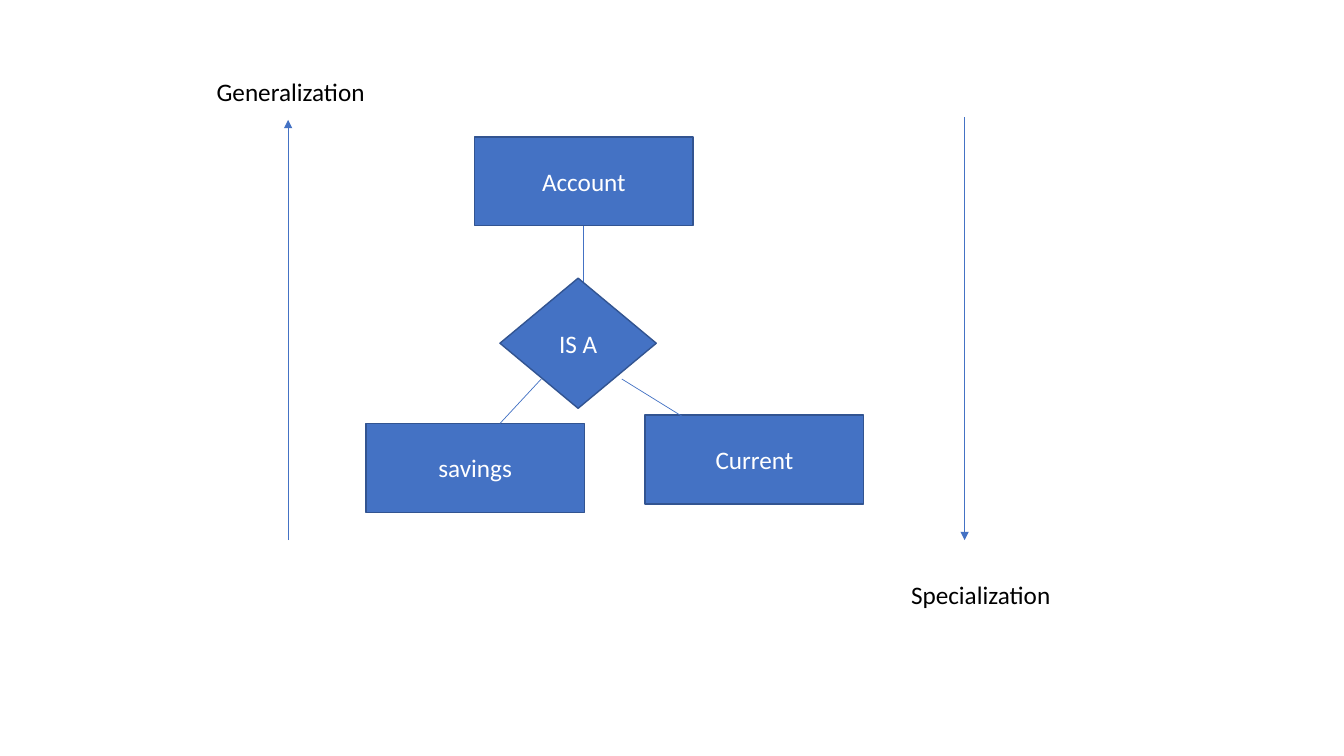
"""Build a slide showing generalization and specialization of an account entity."""
from lxml.etree import SubElement
from pptx import Presentation
from pptx.dml.color import RGBColor
from pptx.enum.shapes import MSO_CONNECTOR, MSO_SHAPE
from pptx.enum.text import MSO_ANCHOR, PP_ALIGN
from pptx.oxml.ns import qn
from pptx.util import Cm, Pt

COLORS = {"fill": "4472C4", "outline": "325491", "light": "FFFFFF", "dark": "000000"}
FONT = {"name": "Calibri", "size": Pt(18)}
ENTITY_SIZE = (5.51, 2.24)
LABEL_SIZE = (5.23, 1.02)
ENTITIES = [("Account", 11.96, 3.45), ("Current", 16.26, 10.46), ("savings", 9.22, 10.67)]
RELATION = ("IS A", 12.6, 7.01)
RELATION_SIZE = (3.94, 3.28)
LINKS = [
    (14.71, 5.69, 14.71, 7.21),
    (13.64, 9.55, 12.6, 10.67),
    (15.67, 9.55, 17.48, 10.67),
]
DIRECTIONS = [(7.26, 13.61, 7.26, 3.02), (24.31, 2.95, 24.31, 13.61)]
LABELS = [("Generalization", 5.21, 1.8), ("Specialization", 22.71, 14.48)]


def color(key):
    return RGBColor.from_string(COLORS[key])


def write(frame, wording, ink):
    paragraph = frame.paragraphs[0]
    run = paragraph.add_run()
    run.text = wording
    for attribute, value in FONT.items():
        setattr(run.font, attribute, value)
    run.font.color.rgb = color(ink)
    return paragraph


def add_node(slide, kind, node, size):
    wording, left, top = node
    shape = slide.shapes.add_shape(kind, *map(Cm, (left, top, *size)))
    shape.shadow.inherit = False
    shape.fill.solid()
    shape.fill.fore_color.rgb = color("fill")
    shape.line.color.rgb = color("outline")
    shape.line.width = Pt(1)
    shape.text_frame.vertical_anchor = MSO_ANCHOR.MIDDLE
    write(shape.text_frame, wording, "light").alignment = PP_ALIGN.CENTER


def add_line(slide, ends, arrow=False):
    line = slide.shapes.add_connector(MSO_CONNECTOR.STRAIGHT, *map(Cm, ends))
    line.line.color.rgb = color("fill")
    line.line.width = Pt(0.5)
    if arrow:
        SubElement(line.line._get_or_add_ln(), qn("a:tailEnd"), type="triangle")
    SubElement(line._element.spPr, qn("a:effectLst"))


def add_label(slide, wording, left, top):
    label = slide.shapes.add_textbox(*map(Cm, (left, top, *LABEL_SIZE)))
    label.text_frame.word_wrap = True
    write(label.text_frame, wording, "dark")


def main():
    deck = Presentation()
    deck.slide_width, deck.slide_height = Cm(33.87), Cm(19.05)
    slide = deck.slides.add_slide(deck.slide_layouts[6])
    for entity in ENTITIES:
        add_node(slide, MSO_SHAPE.RECTANGLE, entity, ENTITY_SIZE)
    for link in LINKS:
        add_line(slide, link)
    add_node(slide, MSO_SHAPE.FLOWCHART_DECISION, RELATION, RELATION_SIZE)
    for direction in DIRECTIONS:
        add_line(slide, direction, arrow=True)
    for label in LABELS:
        add_label(slide, *label)
    deck.save("out.pptx")


if __name__ == "__main__":
    main()
